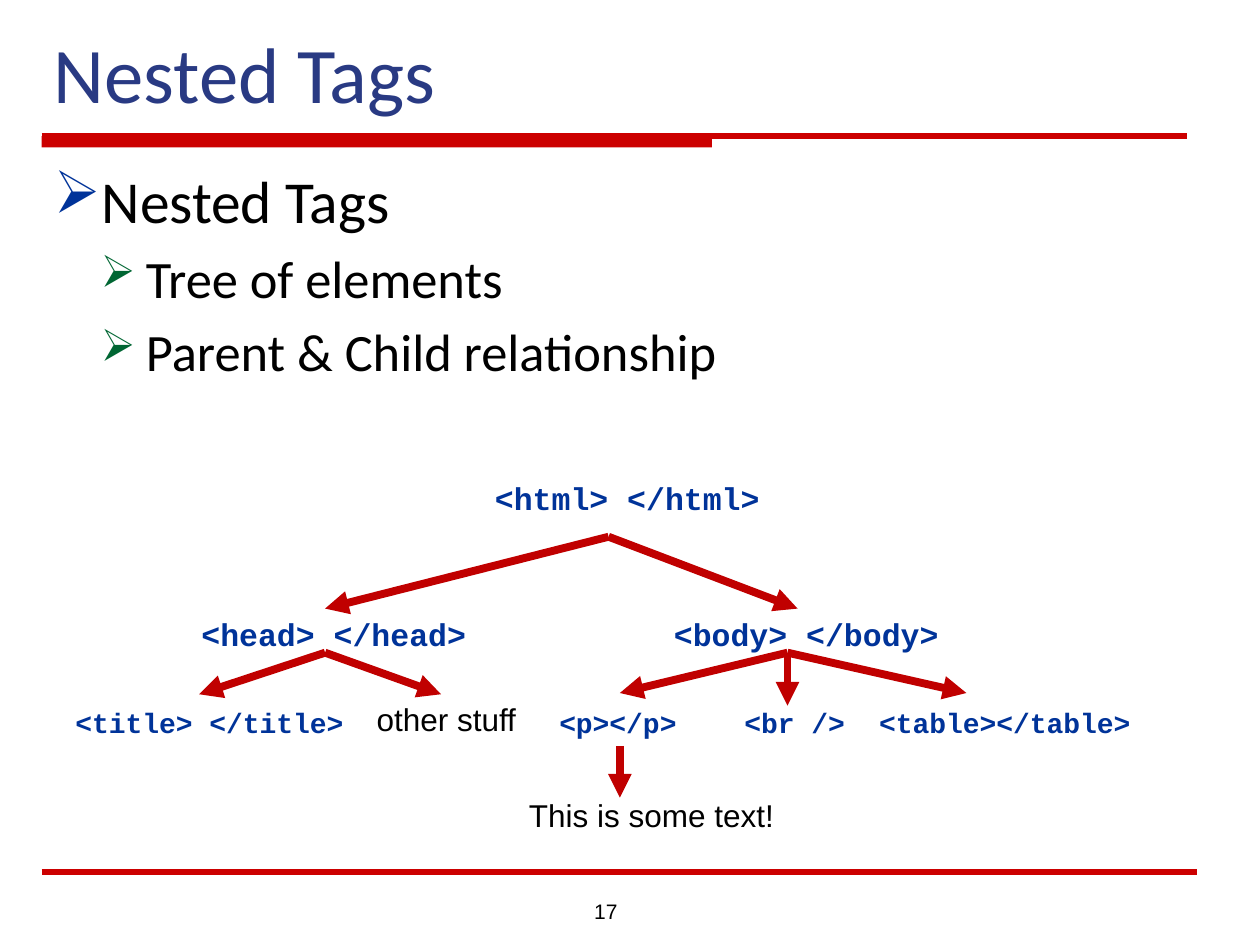
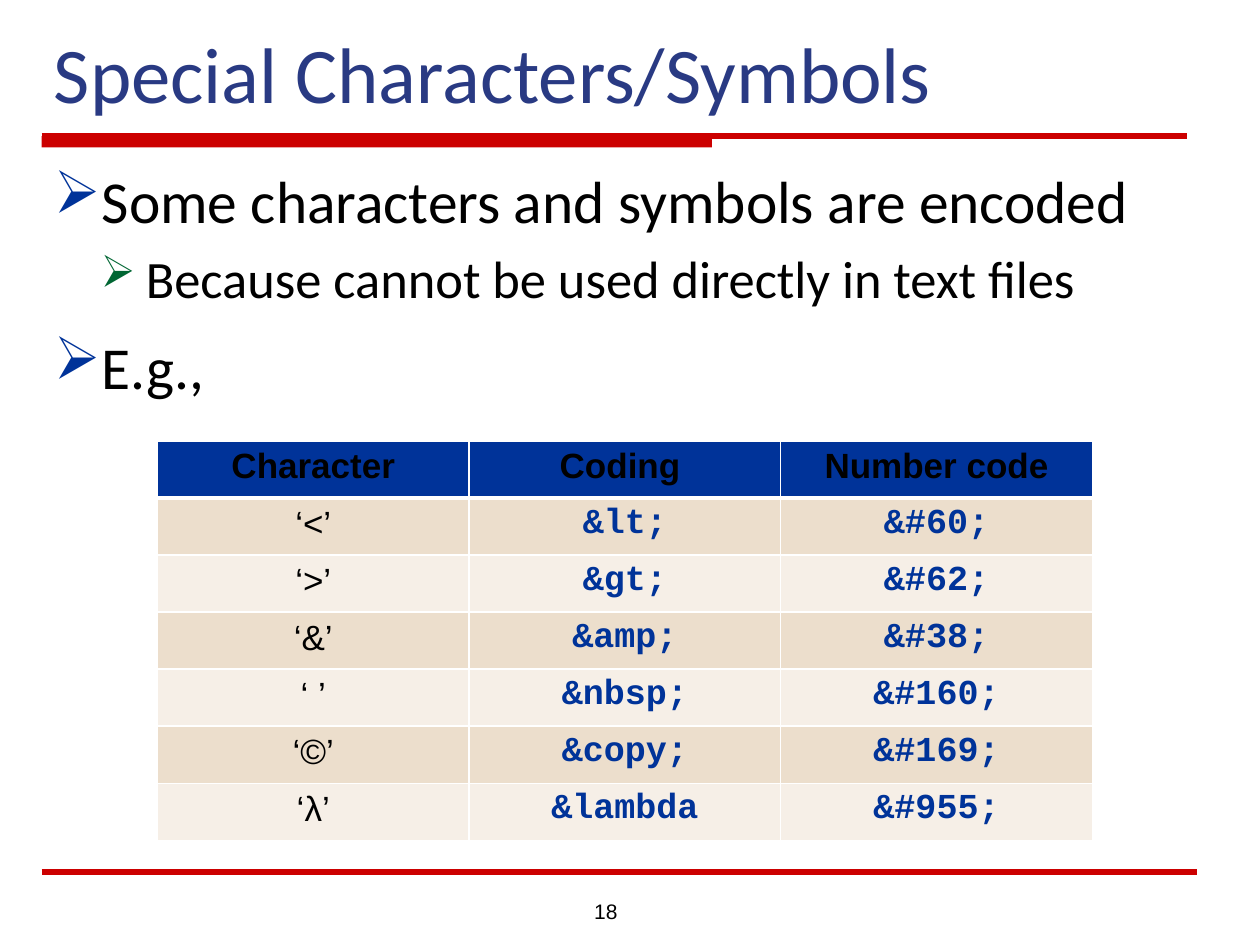
"""Build two slides on nested HTML tags and on special characters."""
from lxml import etree
from pptx import Presentation
from pptx.dml.color import RGBColor
from pptx.enum.shapes import MSO_CONNECTOR, MSO_SHAPE
from pptx.enum.text import MSO_ANCHOR, PP_ALIGN
from pptx.oxml.ns import qn
from pptx.util import Inches, Pt

STRAIGHT = MSO_CONNECTOR.STRAIGHT
RECTANGLE = MSO_SHAPE.RECTANGLE
BOTTOM = MSO_ANCHOR.BOTTOM
TOP = MSO_ANCHOR.TOP
LEFT, CENTER, RIGHT = PP_ALIGN.LEFT, PP_ALIGN.CENTER, PP_ALIGN.RIGHT

RED = RGBColor(0xCC, 0x00, 0x00)
ARROW_RED = RGBColor(0xC0, 0x00, 0x00)
TITLE_BLUE = RGBColor(0x29, 0x3A, 0x83)
BLUE = RGBColor(0x00, 0x33, 0x99)
GREEN = RGBColor(0x00, 0x66, 0x33)
BLACK = RGBColor(0x00, 0x00, 0x00)
DARK_ROW = RGBColor(0xEC, 0xDE, 0xCC)
LIGHT_ROW = RGBColor(0xF6, 0xEF, 0xE7)

TITLE_FONT, TEXT_FONT, CODE_FONT = "Calibri", "Arial", "Courier New"

SLIDES = [
    (17, "Nested Tags",
     [(0, "Nested Tags"), (1, "Tree of elements"), (1, "Parent & Child relationship")]),
    (18, "Special Characters/Symbols",
     [(0, "Some characters and symbols are encoded"),
      (1, "Because cannot be used directly in text files"), (0, "E.g.,")]),
]
LEVELS = [
    {"size": 34, "left": 0.38, "hang": 0.38, "before": 12, "color": BLUE, "percent": 100},
    {"size": 30, "left": 0.73, "hang": 0.36, "before": 6, "color": GREEN, "percent": 85},
]


def add_text(s, box, text, size, font, color, bold=False, align=LEFT, anchor=TOP):
    tf = s.shapes.add_textbox(*map(Inches, box)).text_frame
    tf.word_wrap = True
    tf.vertical_anchor = anchor
    p = tf.paragraphs[0]
    p.alignment = align
    r = p.add_run()
    r.text = text
    r.font.size, r.font.name, r.font.bold = Pt(size), font, bold
    r.font.color.rgb = color


def add_line(s, start, end, color, width, arrow=False):
    line = s.shapes.add_connector(STRAIGHT, *map(Inches, start + end))
    line.line.color.rgb = color
    line.line.width = Pt(width)
    if arrow:
        etree.SubElement(line.line._get_or_add_ln(), qn("a:tailEnd"), type="triangle")
    etree.SubElement(line._element.spPr, qn("a:effectLst"))


prs = Presentation()
prs.slide_width, prs.slide_height = Inches(10), Inches(7.5)

for number, title, bullets in SLIDES:
    s = prs.slides.add_slide(prs.slide_layouts[6])
    bar = s.shapes.add_shape(RECTANGLE, Inches(0.33), Inches(1.08), Inches(5.32), Inches(0.09))
    bar.shadow.inherit = False
    bar.fill.solid()
    bar.fill.fore_color.rgb = RED
    bar.line.fill.background()
    add_line(s, (0.33, 1.08), (9.42, 1.08), RED, 3)
    add_line(s, (0.33, 6.92), (9.5, 6.92), RED, 3)
    add_text(s, (0.33, 0.17, 9.25, 0.83), title, 45, TITLE_FONT, TITLE_BLUE, anchor=BOTTOM)
    add_text(s, (4.33, 7.08, 0.67, 0.27), str(number), 12, TEXT_FONT, BLACK, align=RIGHT)

    body = s.shapes.add_textbox(Inches(0.33), Inches(1.25), Inches(9.17), Inches(5.67))
    tf = body.text_frame
    tf.word_wrap = True
    for i, (depth, text) in enumerate(bullets):
        level = LEVELS[depth]
        p = tf.add_paragraph() if i else tf.paragraphs[0]
        p.level = depth
        p.space_before = Pt(level["before"] if i else 0)
        pPr = p._p.get_or_add_pPr()
        pPr.set("marL", str(Inches(level["left"])))
        pPr.set("indent", str(-Inches(level["hang"])))
        bullet_color = etree.SubElement(pPr, qn("a:buClr"))
        etree.SubElement(bullet_color, qn("a:srgbClr"), val=str(level["color"]))
        etree.SubElement(pPr, qn("a:buSzPct"), val=str(level["percent"] * 1000))
        etree.SubElement(pPr, qn("a:buChar"), char="➢")
        r = p.add_run()
        r.text = text
        r.font.size, r.font.name = Pt(level["size"]), TITLE_FONT
        r.font.color.rgb = BLACK

tree_slide, table_slide = prs.slides

TAGS = [
    (3.83, 3.75, 2.67, "<html> </html>", 18),
    (1.5, 4.83, 2.67, "<head> </head>", 18),
    (5.25, 4.83, 2.67, "<body> </body>", 18),
    (0.5, 5.55, 2.4, "<title> </title>", 16),
    (4.34, 5.55, 1.25, "<p></p>", 16),
    (5.81, 5.55, 1.07, "<br />", 16),
    (6.88, 5.55, 2.4, "<table></table>", 16),
]
for x, y, width, tag, size in TAGS:
    add_text(tree_slide, (x, y, width, 0.4), tag, size, CODE_FONT, BLUE, bold=True)
for x, y, width, text in [(2.89, 5.51, 1.45, "other stuff"),
                          (4.1, 6.27, 2.4, "This is some text!")]:
    add_text(tree_slide, (x, y, width, 0.4), text, 18, TEXT_FONT, BLACK)

BRANCHES = [
    ((4.83, 4.26), [(2.58, 4.83), (6.33, 4.83)]),
    ((2.58, 5.18), [(1.58, 5.51), (3.5, 5.51)]),
    ((6.25, 5.18), [(4.92, 5.5), (6.25, 5.6), (7.67, 5.5)]),
    ((4.92, 5.92), [(4.92, 6.33)]),
]
for parent, children in BRANCHES:
    for child in children:
        add_line(tree_slide, parent, child, ARROW_RED, 4.5, arrow=True)

ROWS = [
    ("Character", "Coding ", "Number code"),
    ("‘<’", "&lt;", "&#60;"),
    ("‘>’", "&gt;", "&#62;"),
    ("‘&’", "&amp;", "&#38;"),
    ("‘ ’", "&nbsp;", "&#160;"),
    ("‘©’", "&copy;", "&#169;"),
    ("‘λ’", "&lambda", "&#955;"),
]
table = table_slide.shapes.add_table(len(ROWS), len(ROWS[0]), Inches(1.25), Inches(3.5),
                                     Inches(7.42), Inches(3.17)).table
for i, row in enumerate(ROWS):
    for j, text in enumerate(row):
        cell = table.cell(i, j)
        tcPr = cell._tc.get_or_add_tcPr()
        for side in "LRTB":
            under_header = (i, side) in [(0, "B"), (1, "T")]
            ln = etree.SubElement(tcPr, qn("a:ln" + side), w=str(Pt(3 if under_header else 1)))
            fill = etree.SubElement(ln, qn("a:solidFill"))
            etree.SubElement(fill, qn("a:srgbClr"), val="FFFFFF")
        cell.fill.solid()
        cell.fill.fore_color.rgb = BLUE if i == 0 else DARK_ROW if i % 2 else LIGHT_ROW
        is_code = i > 0 and j > 0
        p = cell.text_frame.paragraphs[0]
        p.alignment = CENTER
        r = p.add_run()
        r.text = text
        r.font.size = Pt(20)
        r.font.name = CODE_FONT if is_code else TEXT_FONT
        r.font.bold = i == 0 or is_code
        r.font.color.rgb = BLUE if is_code else BLACK

prs.save("out.pptx")
